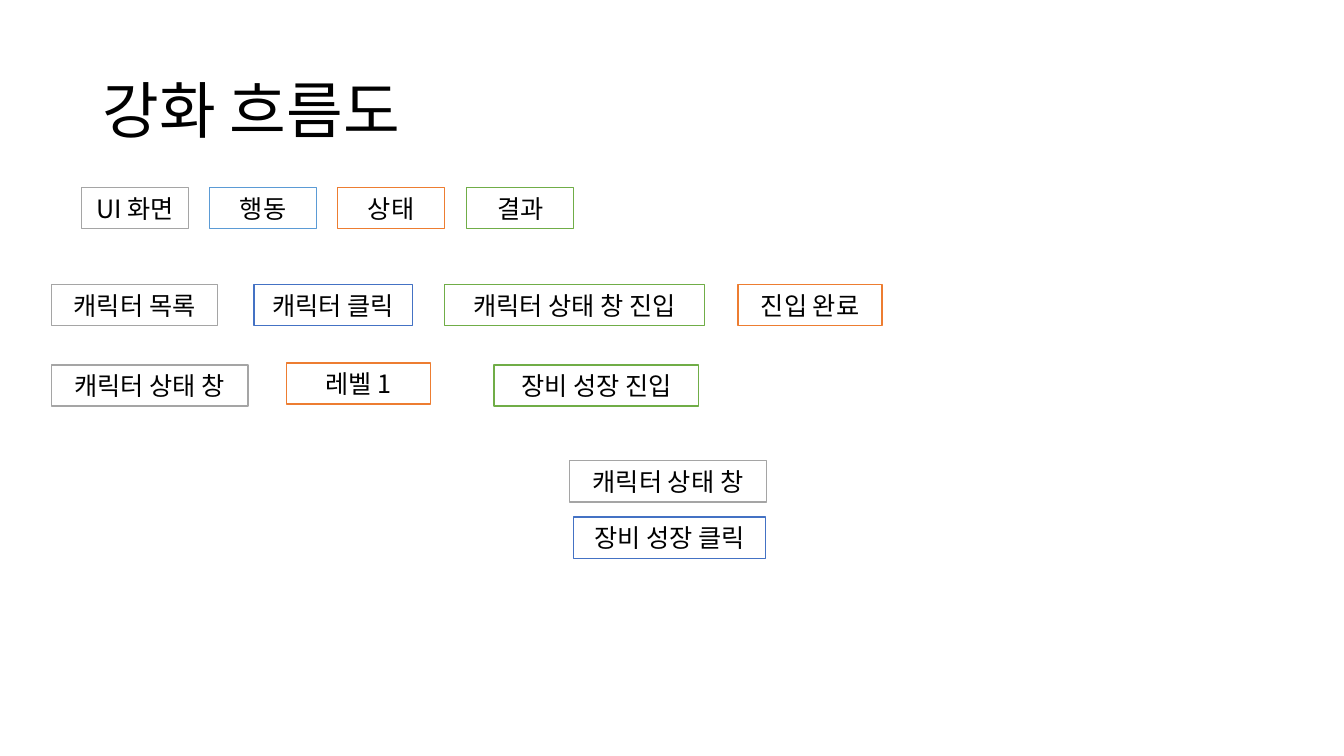
from pptx import Presentation, util as u
from pptx.dml.color import RGBColor
from pptx.enum import shapes, text as t
from pptx.oxml.ns import qn
from lxml import etree

PX = 9144
FONT = "Noto Sans CJK KR"
HIGH = 41
GRAY, SKY, BLUE, ORANGE, GREEN = "A5A5A5", "5B9BD5", "4472C4", "ED7D31", "70AD47"


def px(*nums):
    """Turn px lengths into EMU."""
    return [u.Emu(n * PX) for n in nums]


def color(code):
    """Turn a hex string into a colour."""
    return RGBColor.from_string(code)


def write(shape, words, size=18, align=t.PP_ALIGN.CENTER, wrap=False, lead=1.0):
    """Put one formatted paragraph in a shape."""
    frame = shape.text_frame
    frame.word_wrap = wrap
    frame.vertical_anchor = t.MSO_ANCHOR.MIDDLE
    para = frame.paragraphs[0]
    para.alignment = align
    para.line_spacing = lead
    run = para.add_run()
    run.text = words
    font = run.font
    font.size = u.Pt(size)
    font.name = FONT
    font.color.rgb = color("000000")
    east = etree.SubElement(run._r.get_or_add_rPr(), qn("a:ea"))
    east.set("typeface", FONT)


def title(slide, box, words):
    """Place the slide title in its box."""
    area = slide.shapes.add_textbox(*px(*box))
    write(area, words, size=44, align=t.PP_ALIGN.LEFT, wrap=True, lead=0.9)


def node(slide, box, words, edge):
    """Draw one outlined box with its label."""
    rect = slide.shapes.add_shape(shapes.MSO_SHAPE.RECTANGLE, *px(*box))
    rect.shadow.inherit = False
    rect.fill.solid()
    rect.fill.fore_color.rgb = color("FFFFFF")
    rect.line.color.rgb = color(edge)
    rect.line.width = u.Pt(1)
    write(rect, words)


def legend(slide, box, items):
    """Spread equal key boxes over the width of the box."""
    left, top, width, high = box
    wide = 106
    for i, (words, edge) in enumerate(items):
        x = left + i * (width - wide) // (len(items) - 1)
        node(slide, (x, top, wide, high), words, edge)


def flow(slide, left, top, steps):
    """Place steps by their offset from the corner of the region."""
    for x, y, wide, words, edge in steps:
        node(slide, (left + x, top + y, wide, HIGH), words, edge)


def main():
    """Build the slide and save it."""
    deck = Presentation()
    deck.slide_width, deck.slide_height = px(1333, 750)
    slide = deck.slides.add_slide(deck.slide_layouts[6])
    title(slide, (92, 40, 1150, 145), "강화 흐름도")
    legend(slide, (81, 186, 488, HIGH), [
        ("UI 화면", GRAY), ("행동", SKY), ("상태", ORANGE), ("결과", GREEN)])
    flow(slide, 51, 282, [
        (0, 0, 165, "캐릭터 목록", GRAY),
        (201, 0, 157, "캐릭터 클릭", BLUE),
        (390, 0, 258, "캐릭터 상태 창 진입", GREEN),
        (681, 0, 143, "진입 완료", ORANGE)])
    flow(slide, 51, 362, [
        (0, 0, 195, "캐릭터 상태 창", GRAY),
        (233, -2, 143, "레벨 1", ORANGE),
        (439, 0, 203, "장비 성장 진입", GREEN)])
    flow(slide, 565, 457, [
        (0, 0, 195, "캐릭터 상태 창", GRAY),
        (4, 56, 190, "장비 성장 클릭", BLUE)])
    deck.save("out.pptx")


if __name__ == "__main__":
    main()
